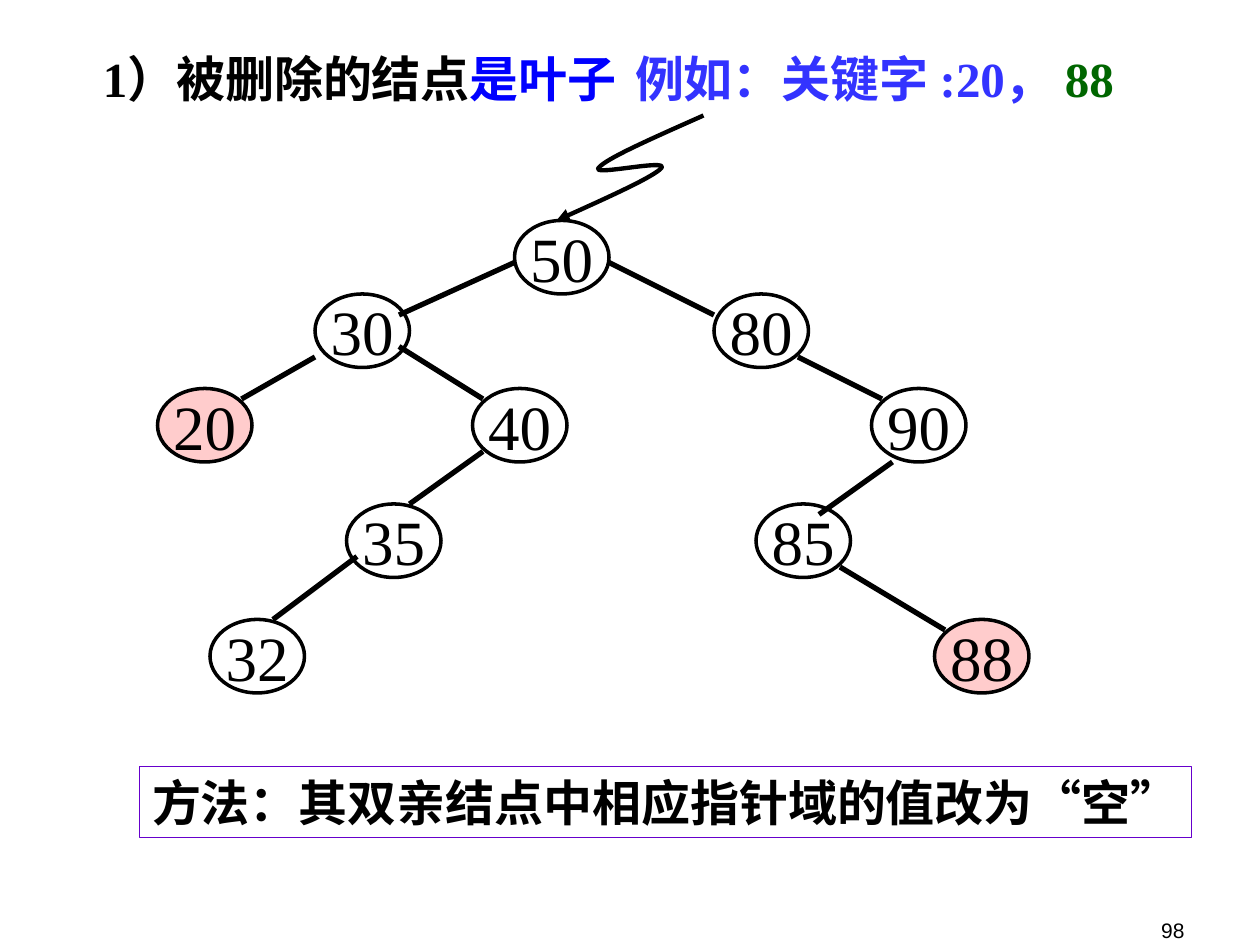
from dataclasses import dataclass

from lxml.etree import SubElement
from pptx import Presentation
from pptx.dml.color import RGBColor
from pptx.enum.shapes import MSO_CONNECTOR, MSO_SHAPE
from pptx.enum.text import MSO_ANCHOR, MSO_AUTO_SIZE, PP_ALIGN
from pptx.oxml.ns import qn
from pptx.util import Pt

PX = 7620  # EMU per px, 120 px to the inch
WIDE, HIGH = 90, 70  # size of a tree node


@dataclass(frozen=True)
class Theme:
    ink: str = "000000"
    blue: str = "0000FF"
    soft: str = "3333FF"
    green: str = "006600"
    frame: str = "6600CC"
    leaf: str = "FFCCCC"
    serif: str = "Times New Roman"
    sans: str = "Arial"
    head: int = 28
    key: int = 36
    small: int = 12


THEME = Theme()
BOLD = {"name": THEME.serif, "size": Pt(THEME.head), "bold": True}
KEY = {"name": THEME.serif, "size": Pt(THEME.key), "bold": False}
PAGE = {"name": THEME.sans, "size": Pt(THEME.small), "bold": False}

GROW = {"word_wrap": False, "auto_size": MSO_AUTO_SIZE.SHAPE_TO_FIT_TEXT,
        "vertical_anchor": MSO_ANCHOR.TOP}
# A full line of text needs the room of the right margin
TIGHT = {"word_wrap": True, "auto_size": MSO_AUTO_SIZE.NONE,
         "vertical_anchor": MSO_ANCHOR.TOP, "margin_right": 0}
FIXED = {"word_wrap": False, "auto_size": MSO_AUTO_SIZE.NONE,
         "vertical_anchor": MSO_ANCHOR.MIDDLE}
FOOT = {"word_wrap": True, "auto_size": MSO_AUTO_SIZE.NONE,
        "vertical_anchor": MSO_ANCHOR.BOTTOM}

# Key, left, top
NODES = [
    ("50", 490, 210), ("30", 300, 280), ("80", 680, 280),
    ("20", 150, 370), ("40", 450, 370), ("90", 830, 370),
    ("35", 330, 480), ("85", 720, 480),
    ("32", 200, 590), ("88", 890, 590),
]
LEAVES = {"20", "88"}  # keys to delete

# Parent end, child end
EDGES = [
    (490, 250, 380, 300), (580, 250, 680, 300),
    (300, 340, 230, 380), (380, 330, 460, 380),
    (760, 340, 840, 380), (460, 430, 390, 480),
    (850, 440, 780, 490), (340, 530, 260, 590),
    (800, 540, 900, 600),
]

# Start, then three points for each Bézier piece
CURVE = [
    (670, 110),
    (623, 131), (577, 151), (570, 160),
    (563, 168), (637, 151), (630, 160),
    (623, 168), (577, 189), (530, 210),
]


def scale(*vals):
    return [val * PX for val in vals]


def assign(item, form):
    for name, val in form.items():
        setattr(item, name, val)


def write(shape, runs, font, frame, align=PP_ALIGN.LEFT):
    """Fill one paragraph with (text, colour) runs."""
    assign(shape.text_frame, frame)
    para = shape.text_frame.paragraphs[0]
    para.alignment = align
    for text, color in runs:
        run = para.add_run()
        run.text = text
        assign(run.font, font)
        run.font.color.rgb = RGBColor.from_string(color)


def stroke(line, color, width):
    line.color.rgb = RGBColor.from_string(color)
    line.width = Pt(width)


def add_text(slide, box, runs, font, frame, align=PP_ALIGN.LEFT):
    shape = slide.shapes.add_textbox(*scale(*box))
    write(shape, runs, font, frame, align)


def add_title(slide, box, runs):
    title = slide.shapes.title
    title.left, title.top, title.width, title.height = scale(*box)
    write(title, runs, BOLD, TIGHT)


def add_form(slide, kind, box, color, width, fill=None):
    form = slide.shapes.add_shape(kind, *scale(*box))
    form.shadow.inherit = False
    if fill:
        form.fill.solid()
        form.fill.fore_color.rgb = RGBColor.from_string(fill)
    else:
        form.fill.background()
    stroke(form.line, color, width)
    return form


def add_node(slide, key, left, top):
    fill = THEME.leaf if key in LEAVES else None
    node = add_form(slide, MSO_SHAPE.OVAL, (left, top, WIDE, HIGH),
                    THEME.ink, 2, fill)
    write(node, [(key, THEME.ink)], KEY, FIXED, PP_ALIGN.CENTER)


def add_edge(slide, ends):
    edge = slide.shapes.add_connector(MSO_CONNECTOR.STRAIGHT, *scale(*ends))
    stroke(edge.line, THEME.ink, 3)
    SubElement(edge._element.spPr, qn("a:effectLst"))


def add_curve(slide, points):
    """Draw an open Bézier curve with an arrowhead at its end."""
    pen = slide.shapes.build_freeform(*points[0], scale=PX)
    pen.add_line_segments(points[1:], close=False)
    curve = pen.convert_to_shape()
    curve.shadow.inherit = False
    curve.fill.background()
    stroke(curve.line, THEME.ink, 2.5)
    SubElement(curve.line._get_or_add_ln(), qn("a:tailEnd"), type="triangle")

    # Merge each three line steps into one cubic step
    track = next(curve._element.iter(qn("a:path")))
    steps = track.findall(qn("a:lnTo"))
    for pos in range(0, len(steps), 3):
        cubic = SubElement(track, qn("a:cubicBezTo"))
        for step in steps[pos:pos + 3]:
            cubic.append(step[0])
            track.remove(step)


def main():
    deck = Presentation()
    deck.slide_width, deck.slide_height = scale(1200, 900)
    slide = deck.slides.add_slide(deck.slide_layouts[5])

    # Heading and example keys
    add_title(slide, (86, 40, 524, 68),
              [("1）被删除的结点", THEME.ink), ("是叶子", THEME.blue)])
    add_text(slide, (593, 40, 539, 68),
             [("例如：关键字 :20， ", THEME.soft), ("88", THEME.green)],
             BOLD, GROW)

    # Search tree
    for node in NODES:
        add_node(slide, *node)
    for ends in EDGES:
        add_edge(slide, ends)
    add_curve(slide, CURVE)

    # Method
    method = add_form(slide, MSO_SHAPE.RECTANGLE, (133, 730, 1002, 68),
                      THEME.frame, 0.75)
    write(method, [("方法：其双亲结点中相应指针域的值改为“空”", THEME.ink)],
          BOLD, TIGHT)

    # Page number
    add_text(slide, (860, 844, 280, 60), [("98", THEME.ink)],
             PAGE, FOOT, PP_ALIGN.RIGHT)

    deck.save("out.pptx")


if __name__ == "__main__":
    main()
